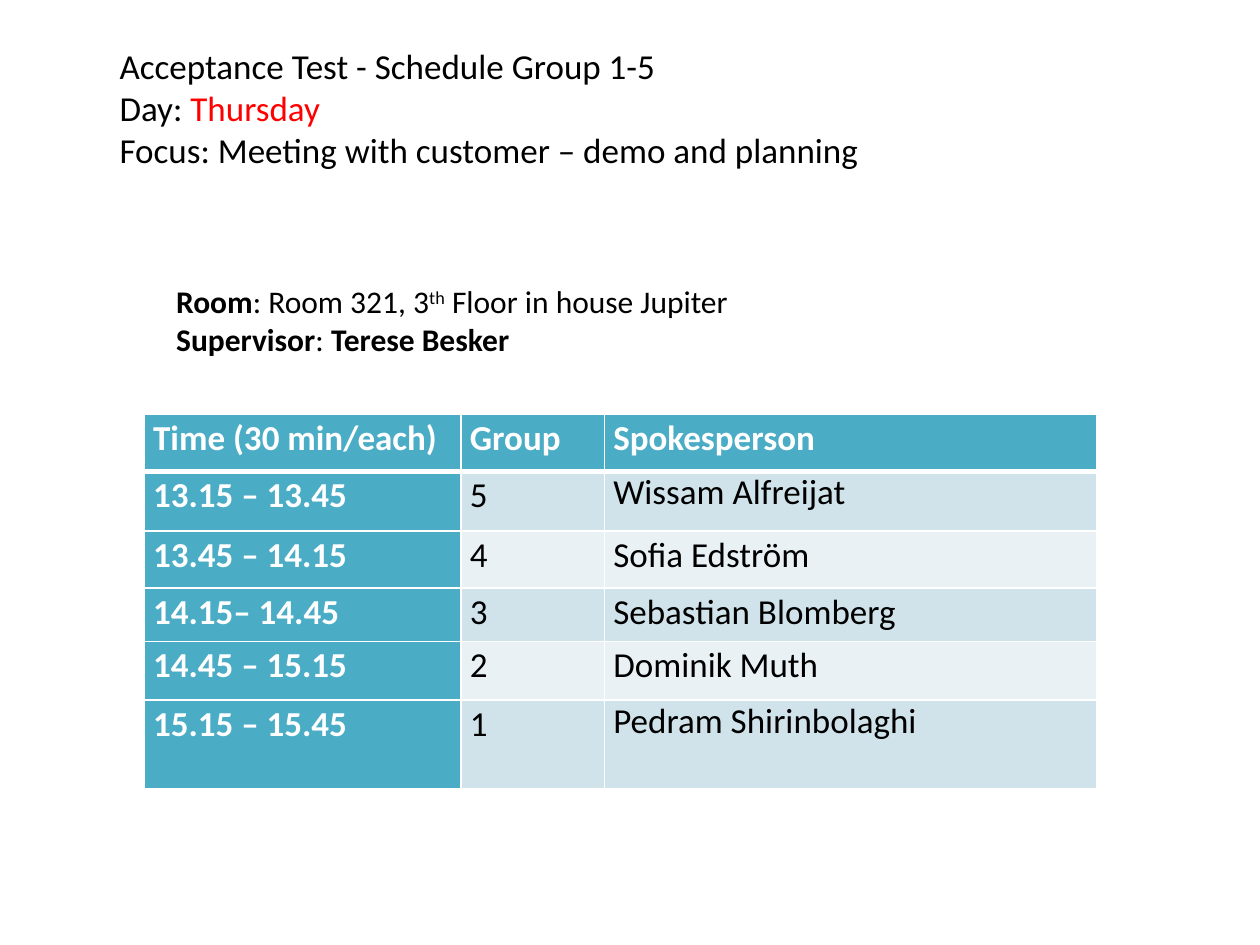
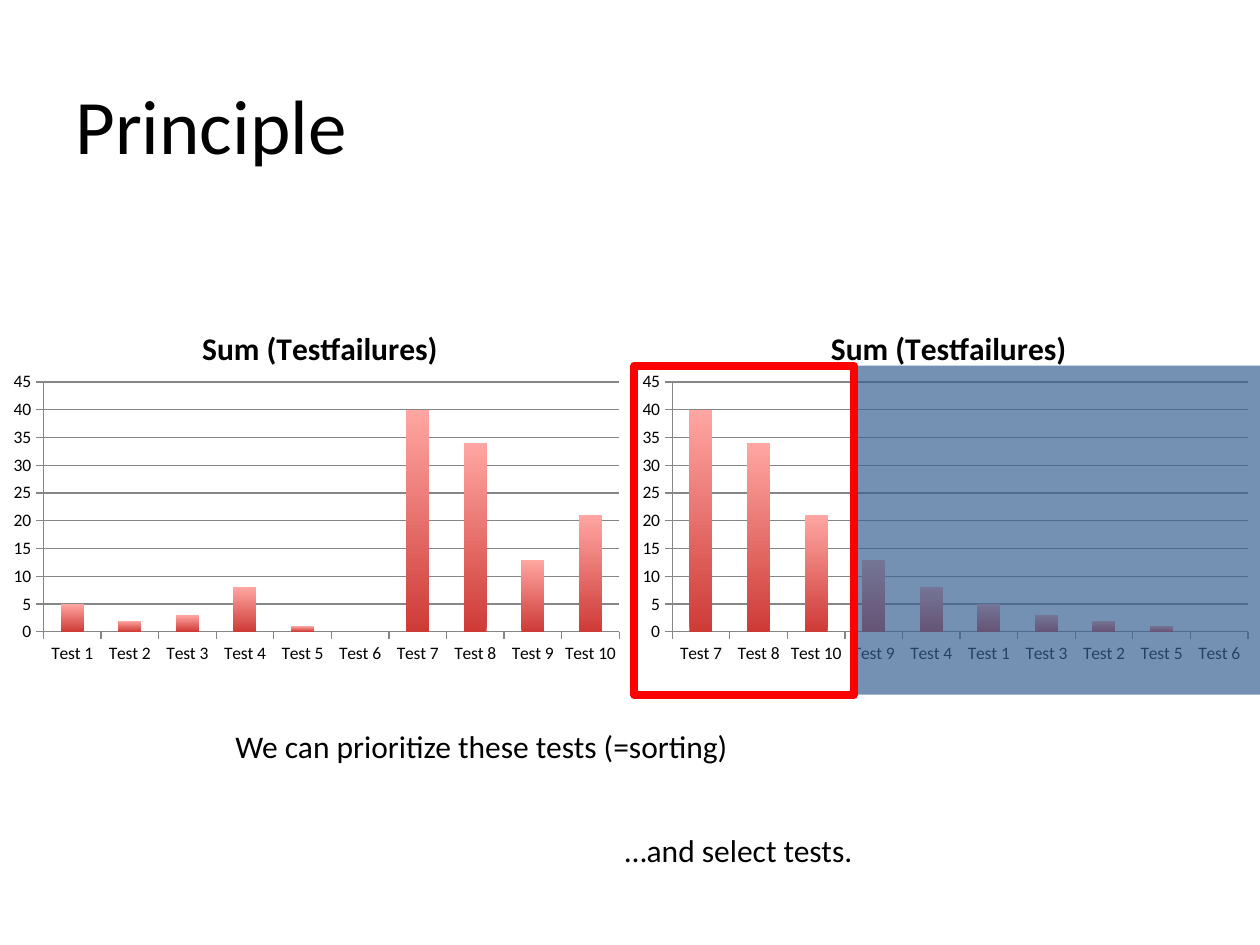
from dataclasses import dataclass

from pptx import Presentation
from pptx.chart.data import CategoryChartData
from pptx.dml.color import RGBColor
from pptx.enum.chart import XL_CHART_TYPE, XL_TICK_MARK
from pptx.enum.shapes import MSO_SHAPE
from pptx.enum.text import MSO_ANCHOR
from pptx.oxml.ns import qn
from pptx.oxml.xmlchemy import OxmlElement
from pptx.util import Pt

COLUMNS = XL_CHART_TYPE.COLUMN_CLUSTERED
TICK_OUT = XL_TICK_MARK.OUTSIDE
RECTANGLE = MSO_SHAPE.RECTANGLE
TOP, MIDDLE = MSO_ANCHOR.TOP, MSO_ANCHOR.MIDDLE


@dataclass(frozen=True)
class Theme:
    font: str = "Calibri"
    black: RGBColor = RGBColor(0, 0, 0)
    white: RGBColor = RGBColor(255, 255, 255)
    red: RGBColor = RGBColor(255, 0, 0)
    teal: RGBColor = RGBColor(0x4B, 0xAC, 0xC6)
    band_dark: RGBColor = RGBColor(0xD0, 0xE3, 0xEA)
    band_light: RGBColor = RGBColor(0xE9, 0xF1, 0xF5)
    bar_base: RGBColor = RGBColor(0xCE, 0x3B, 0x37)
    bar_tip: RGBColor = RGBColor(0xFF, 0xA6, 0xA2)
    grid: RGBColor = RGBColor(0x86, 0x86, 0x86)
    cover: RGBColor = RGBColor(0x37, 0x60, 0x92)
    title_size: Pt = Pt(44)
    heading_size: Pt = Pt(20)
    body_size: Pt = Pt(18)
    axis_size: Pt = Pt(10)


theme = Theme()


def add_text(slide, place, lines, size, anchor=TOP, wrap=True):
    box = slide.shapes.add_textbox(*map(Pt, place))
    frame = box.text_frame
    frame.word_wrap = wrap
    frame.vertical_anchor = anchor
    for index, line in enumerate(lines):
        para = frame.paragraphs[0] if index == 0 else frame.add_paragraph()
        for text, style in line:
            span = para.add_run()
            span.text = text
            span.font.name = theme.font
            span.font.size = size
            span.font.bold = style == "bold"
            span.font.color.rgb = theme.red if style == "red" else theme.black
            if style == "raised":
                span.font._element.set("baseline", "30000")


def set_layout(element, **values):
    layout = element.find(qn("c:layout"))
    if layout is None:
        layout = OxmlElement("c:layout")
        element.insert(0, layout)
    manual = OxmlElement("c:manualLayout")
    layout.append(manual)
    for name, value in values.items():
        item = OxmlElement(f"c:{name}")
        item.set("val", str(value))
        manual.append(item)


deck = Presentation()
deck.slide_width, deck.slide_height = Pt(720), Pt(540)
blank = deck.slide_layouts[6]

schedule = deck.slides.add_slide(blank)
add_text(schedule, (61.2, 22, 650, 81), [
    [("Acceptance Test - Schedule Group 1-5", "")],
    [("Day: ", ""), ("Thursday", "red")],
    [("Focus: Meeting with customer – demo and planning", "")],
], theme.heading_size)
add_text(schedule, (93.6, 157.7, 499, 51), [
    [("Room", "bold"), (": Room 321, 3", ""), ("th", "raised"), (" Floor in house Jupiter", "")],
    [("Supervisor", "bold"), (": ", ""), ("Terese Besker", "bold")],
], theme.body_size)

rows = [
    ("Time (30 min/each)", "Group", "Spokesperson"),
    ("13.15 – 13.45", "5", "Wissam Alfreijat"),
    ("13.45 – 14.15", "4", "Sofia Edström"),
    ("14.15– 14.45", "3", "Sebastian Blomberg"),
    ("14.45 – 15.15", "2", "Dominik Muth"),
    ("15.15 – 15.45", "1", "Pedram Shirinbolaghi"),
]
column_widths = (181, 82, 281)
row_heights = (33, 34, 32.5, 30.5, 33.5, 51)
single_spaced_rows = (1, 5)
table = schedule.shapes.add_table(
    len(rows), len(column_widths), Pt(82.5), Pt(236.5),
    Pt(sum(column_widths)), Pt(sum(row_heights))).table
table.horz_banding = False
for column, width in zip(table.columns, column_widths):
    column.width = Pt(width)
for row_index, (row, height) in enumerate(zip(rows, row_heights)):
    table.rows[row_index].height = Pt(height)
    for column_index, text in enumerate(row):
        cell = table.cell(row_index, column_index)
        heading = row_index == 0 or column_index == 0
        cell.margin_left = cell.margin_right = Pt(5)
        cell.margin_top = cell.margin_bottom = 0
        properties = cell._tc.get_or_add_tcPr()
        for side in "LRTB":
            thick = (row_index, side) in ((0, "B"), (1, "T"))
            border = OxmlElement(f"a:ln{side}")
            border.set("w", str(Pt(3 if thick else 1)))
            paint = OxmlElement("a:solidFill")
            color = OxmlElement("a:srgbClr")
            color.set("val", str(theme.white))
            paint.append(color)
            border.append(paint)
            properties.append(border)
        cell.fill.solid()
        band = theme.band_dark if row_index % 2 else theme.band_light
        cell.fill.fore_color.rgb = theme.teal if heading else band
        cell.text_frame.text = text
        para = cell.text_frame.paragraphs[0]
        single = column_index == 2 and row_index in single_spaced_rows
        para.line_spacing = 1.0 if single else 1.07
        font = para.runs[0].font
        font.name, font.size, font.bold = theme.font, theme.heading_size, heading
        font.color.rgb = theme.white if heading else theme.black

principle = deck.slides.add_slide(blank)
add_text(principle, (36, 36.7, 648, 67.7), [[("Principle", "")]], theme.title_size, MIDDLE)

failures = [(f"Test {number}", count)
            for number, count in enumerate((5, 2, 3, 8, 1, 0, 40, 34, 13, 21), 1)]
by_failures = sorted(failures, key=lambda test: test[1], reverse=True)
for left, tests in ((0.7, failures), (360, by_failures)):
    data = CategoryChartData()
    data.categories = [name for name, count in tests]
    data.add_series("Sum (Testfailures)", [count for name, count in tests])
    chart = principle.shapes.add_chart(
        COLUMNS, Pt(left), Pt(168), Pt(360), Pt(216), data).chart
    chart.has_legend = False
    chart.font.name, chart.font.size = theme.font, theme.axis_size
    chart.font.color.rgb = theme.black

    chart.has_title = True
    set_layout(chart.chart_title.element, xMode="edge", yMode="edge", x=0.31, y=0.07)
    chart.chart_title.include_in_layout = False
    chart.chart_title.text_frame.text = "Sum (Testfailures)"
    font = chart.chart_title.text_frame.paragraphs[0].runs[0].font
    font.name, font.size, font.bold = theme.font, theme.body_size, True
    font.color.rgb = theme.black
    set_layout(chart.element.find(".//" + qn("c:plotArea")), layoutTarget="inner",
               xMode="edge", yMode="edge", x=0.067, y=0.233, w=0.914, h=0.661)

    chart.value_axis.minimum_scale = 0
    chart.value_axis.maximum_scale = 45
    chart.value_axis.major_unit = 5
    chart.value_axis.has_major_gridlines = True
    chart.value_axis.major_gridlines.format.line.color.rgb = theme.grid
    for axis in (chart.category_axis, chart.value_axis):
        axis.major_tick_mark = TICK_OUT
        axis.format.line.color.rgb = theme.grid

    plot = chart.plots[0]
    plot.gap_width = 150
    plot.vary_by_categories = False
    fill = plot.series[0].format.fill
    fill.gradient()
    fill.gradient_angle = 90
    for stop, color in zip(fill.gradient_stops, (theme.bar_base, theme.bar_tip)):
        stop.color.rgb = color

for place, text in (((127.4, 411.8, 388.8, 36), "We can prioritize these tests (=sorting)"),
                    ((350, 471.6, 190, 36), "…and select tests.")):
    add_text(principle, place, [[(text, "")]], theme.body_size, wrap=False)

select_left, select_width = 362.5, 125.5
select_top, select_height = 209, 188
unselected = principle.shapes.add_shape(
    RECTANGLE, Pt(select_left + select_width), Pt(select_top), Pt(232), Pt(select_height))
unselected.shadow.inherit = False
unselected.fill.solid()
unselected.fill.fore_color.rgb = theme.cover
alpha = OxmlElement("a:alpha")
alpha.set("val", "69000")
unselected.element.find(".//" + qn("a:srgbClr")).append(alpha)
unselected.line.fill.background()

selected = principle.shapes.add_shape(
    RECTANGLE, Pt(select_left), Pt(select_top), Pt(select_width), Pt(select_height))
selected.shadow.inherit = False
selected.fill.background()
selected.line.color.rgb = theme.red
selected.line.width = Pt(4.5)

deck.save("out.pptx")
